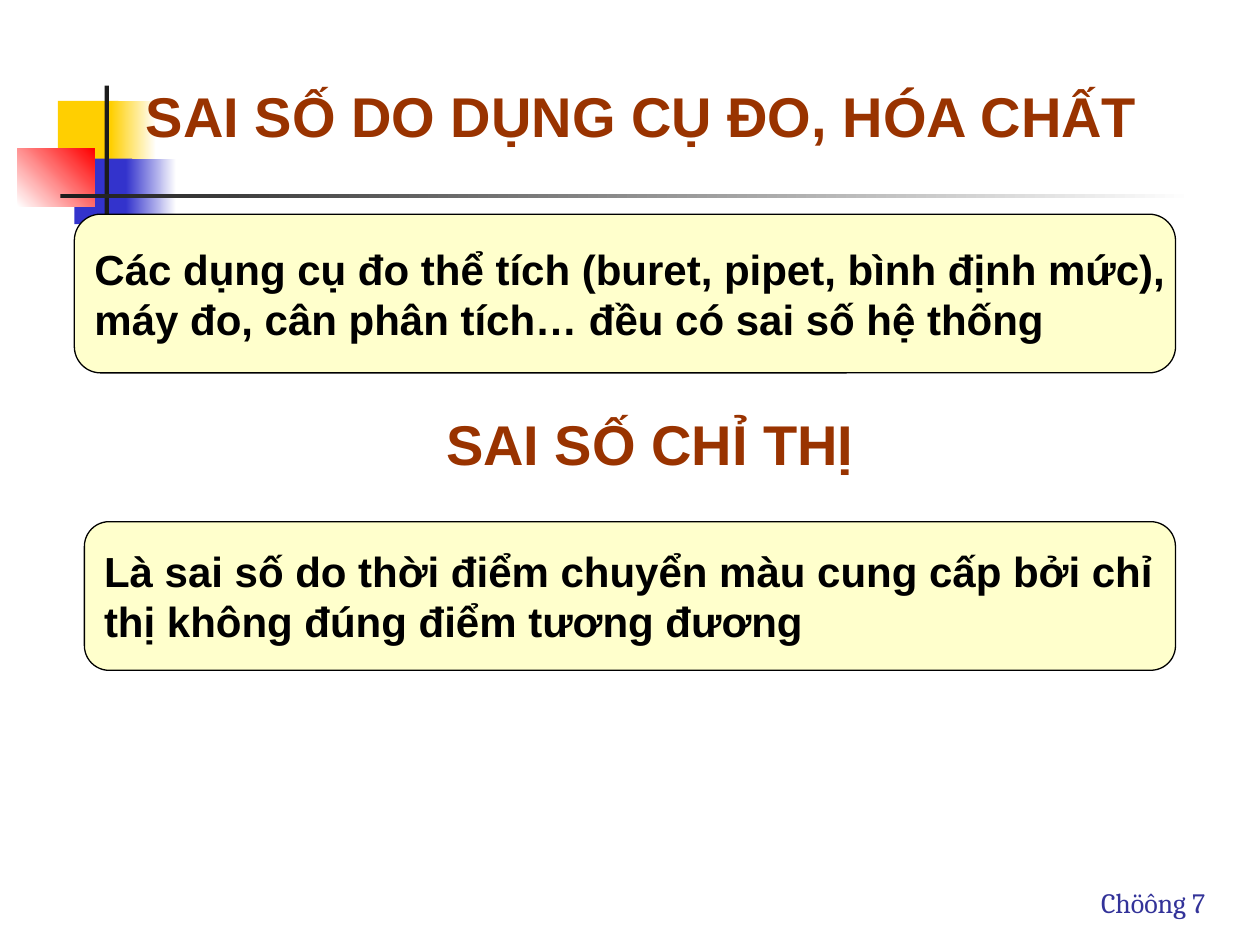
from dataclasses import dataclass

from pptx import Presentation
from pptx import util as u
from pptx.dml.color import RGBColor
from pptx.enum import shapes, text

COLS, ROWS = 100, 75


@dataclass(frozen=True)
class Theme:
    """Colours, fonts and type sizes of the slide."""
    yellow: str = "FFCF01"
    blue: str = "3333CC"
    red: str = "FF0000"
    dark: str = "1C1C1C"
    paper: str = "FFFFFF"
    panel: str = "FFFFCC"
    ink: str = "000000"
    heading: str = "993300"
    footer: str = "333399"
    font: str = "Arial"
    footer_font: str = "Cambria"
    heading_size: int = 32
    body_size: int = 24
    footer_size: int = 16
    line_width: float = 0.75


THEME = Theme()


def place(prs, box):
    """Turn a box in grid columns and rows into slide lengths."""
    col, row = prs.slide_width / COLS, prs.slide_height / ROWS
    return [u.Emu(round(n * unit)) for n, unit in zip(box, (col, row, col, row))]


def write(tf, lines, *, size, color, font=THEME.font, bold=True,
          align=text.PP_ALIGN.LEFT, anchor=text.MSO_ANCHOR.MIDDLE, wrap=True):
    """Fill a text frame with one paragraph for each line."""
    tf.word_wrap = wrap
    tf.vertical_anchor = anchor
    for i, line in enumerate(lines):
        p = tf.paragraphs[0] if i == 0 else tf.add_paragraph()
        p.alignment = align
        r = p.add_run()
        r.text = line
        r.font.name, r.font.size, r.font.bold = font, u.Pt(size), bold
        r.font.color.rgb = RGBColor.from_string(color)


def block(prs, s, box, colors, angle=0, kind=shapes.MSO_SHAPE.RECTANGLE):
    """Add a borderless shape in one colour or a two-colour gradient."""
    sp = s.shapes.add_shape(kind, *place(prs, box))
    sp.shadow.inherit = False
    sp.line.fill.background()
    if len(colors) == 1:
        sp.fill.solid()
        sp.fill.fore_color.rgb = RGBColor.from_string(colors[0])
    else:
        sp.fill.gradient()
        sp.fill.gradient_angle = angle
        for stop, color in zip(sp.fill.gradient_stops, colors):
            stop.color.rgb = RGBColor.from_string(color)
    return sp


def motif(prs, s, box):
    """Draw the overlapping squares and the crossed rules."""
    x, y, w, h = box
    t = THEME
    parts = [
        ((3.2, 1.2, 4.8, 5.2), (t.yellow,), 0),
        ((7.4, 1.2, 3.6, 5.2), (t.yellow, t.paper), 0),
        ((4.5, 5.8, 4.6, 5.2), (t.blue,), 0),
        ((8.6, 5.8, 4, 5.2), (t.blue, t.paper), 0),
        ((0, 5, 6.1, 4.6), (t.paper, t.red), 45),
        ((6.9, 0, 0.35, h), (t.dark,), 0),
        ((3.4, 8.6, w - 3.4, 0.35), (t.dark, t.paper), 0),
    ]
    for (dx, dy, pw, ph), colors, angle in parts:
        block(prs, s, (x + dx, y + dy, pw, ph), colors, angle)


def label(prs, s, box, line, **style):
    """Add a single-line text box."""
    tf = s.shapes.add_textbox(*place(prs, box)).text_frame
    write(tf, [line], **style)


def heading(prs, s, box, line, **style):
    """Add a section heading."""
    label(prs, s, box, line, size=THEME.heading_size, color=THEME.heading, **style)


def panel(prs, s, box, lines):
    """Add a rounded, outlined panel of body text."""
    sp = block(prs, s, box, (THEME.panel,), kind=shapes.MSO_SHAPE.ROUNDED_RECTANGLE)
    sp.adjustments[0] = 1 / 6
    sp.line.color.rgb = RGBColor.from_string(THEME.ink)
    sp.line.width = u.Pt(THEME.line_width)
    write(sp.text_frame, lines, size=THEME.body_size, color=THEME.ink, wrap=False)


def footer(prs, s, box, line):
    """Add the chapter mark."""
    label(prs, s, box, line, size=THEME.footer_size, color=THEME.footer,
          font=THEME.footer_font, bold=False, anchor=text.MSO_ANCHOR.TOP)


def main():
    """Build the slide and save it."""
    prs = Presentation()
    prs.slide_width, prs.slide_height = u.Inches(10), u.Inches(7.5)
    s = prs.slides.add_slide(prs.slide_layouts[6])
    motif(prs, s, (1.4, 6.8, 93.4, 11.5))
    footer(prs, s, (86.4, 69.8, 11.6, 3.7), "Chöông 7")
    heading(prs, s, (10.6, 6, 85, 6.3), "SAI SỐ DO DỤNG CỤ ĐO, HÓA CHẤT")
    heading(prs, s, (13.8, 32, 75.6, 6.3), "SAI SỐ CHỈ THỊ",
            align=text.PP_ALIGN.CENTER)
    panel(prs, s, (5.9, 17, 87.4, 12.6),
          ["Các dụng cụ đo thể tích (buret, pipet, bình định mức),",
           "máy đo, cân phân tích… đều có sai số hệ thống"])
    panel(prs, s, (6.7, 41.4, 86.6, 11.8),
          ["Là sai số do thời điểm chuyển màu cung cấp bởi chỉ",
           "thị không đúng điểm tương đương"])
    prs.save("out.pptx")


if __name__ == "__main__":
    main()
